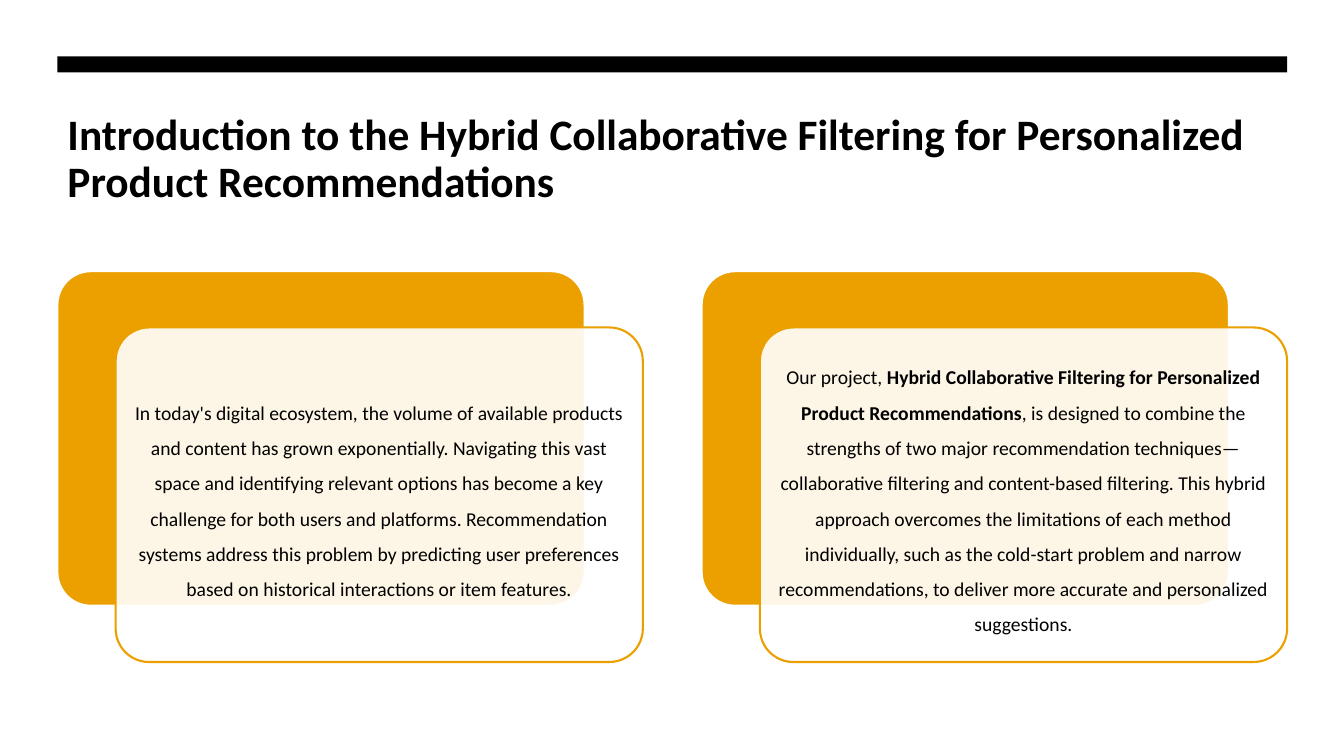
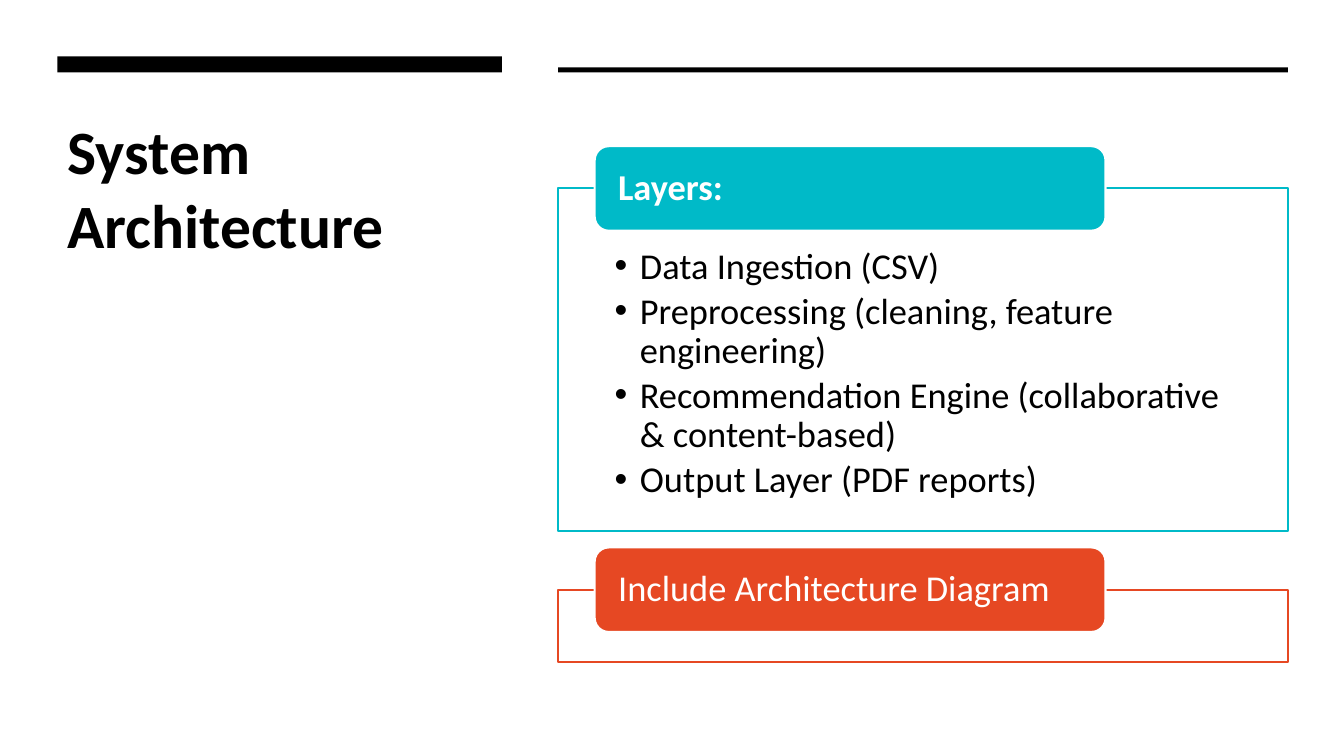
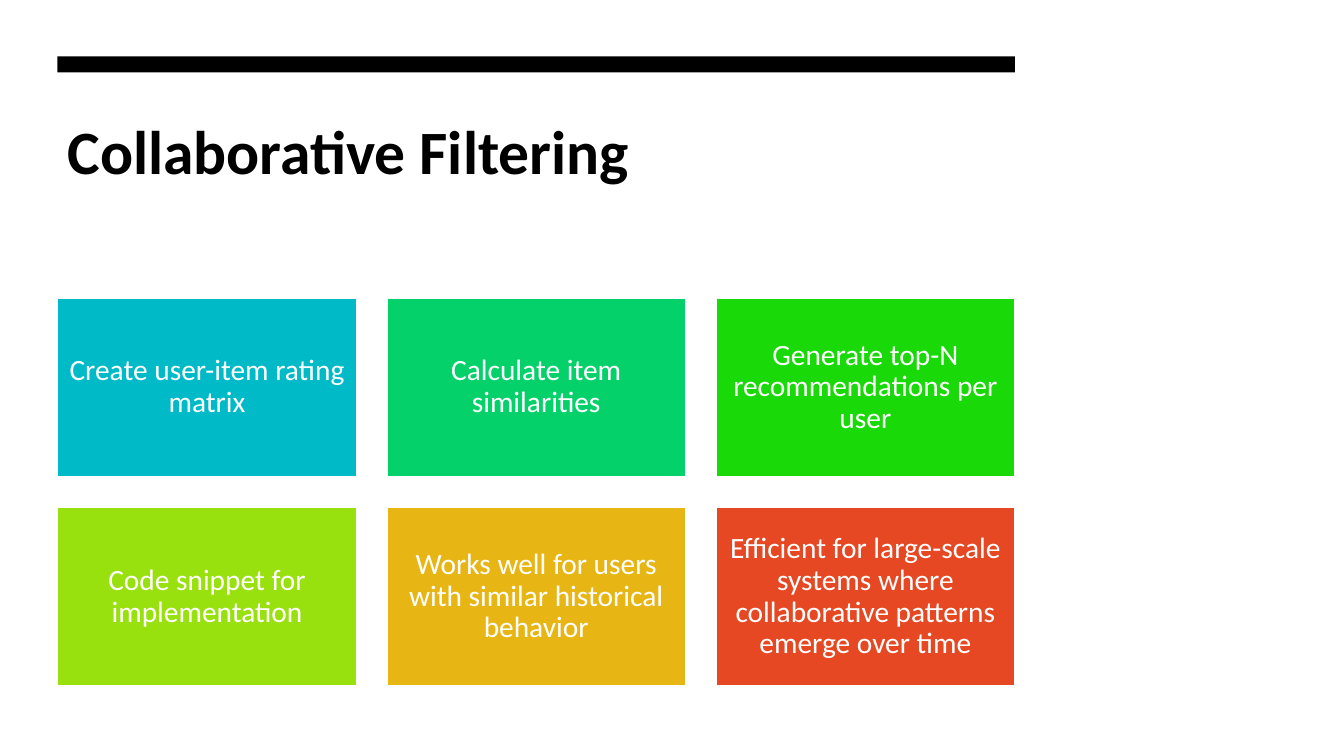
from lxml import etree
from pptx import Presentation
from pptx.dml.color import RGBColor
from pptx.enum import shapes, text
from pptx.oxml.ns import qn
from pptx.util import Pt

COLORS = {
    "black": "000000", "white": "FFFFFF", "amber": "EBA000",
    "teal": "00BAC8", "green": "04D169", "lime": "1AD909",
    "yellowgreen": "99E00F", "gold": "E7B615", "red": "E64823",
}
FONT = "Calibri"
LEFT, BAND_TOP, TITLE_TOP = 41, 40.3, 77
FULL_W, SIDE_W, TILES_W = 878.4, 317.5, 684

INTRO_TITLE = ("Introduction to the Hybrid Collaborative Filtering for "
               "Personalized Product Recommendations")
INTRO_CARDS = [
    [("In today's digital ecosystem, the volume of available products and "
      "content has grown exponentially. Navigating this vast space and "
      "identifying relevant options has become a key challenge for both users "
      "and platforms. Recommendation systems address this problem by "
      "predicting user preferences based on historical interactions or item "
      "features.", False)],
    [("Our project, ", False),
     ("Hybrid Collaborative Filtering for Personalized Product "
      "Recommendations", True),
     (", is designed to combine the strengths of two major recommendation "
      "techniques—collaborative filtering and content-based filtering. This "
      "hybrid approach overcomes the limitations of each method individually, "
      "such as the cold-start problem and narrow recommendations, to deliver "
      "more accurate and personalized suggestions.", False)],
]

ARCHITECTURE_TITLE = "System Architecture"
PANELS = [
    {"head": "Layers:", "bold": True, "color": "teal", "top": 134.6,
     "height": 244.8, "items": [
         "Data Ingestion (CSV)",
         "Preprocessing (cleaning, feature engineering)",
         "Recommendation Engine (collaborative & content-based)",
         "Output Layer (PDF reports)"]},
    {"head": "Include Architecture Diagram", "bold": False, "color": "red",
     "top": 421.2, "height": 51.8, "items": []},
]

FILTERING_TITLE = "Collaborative Filtering"
TILES = [
    ("Create user-item rating matrix", "teal"),
    ("Calculate item similarities", "green"),
    ("Generate top-N recommendations per user", "lime"),
    ("Code snippet for implementation", "yellowgreen"),
    ("Works well for users with similar historical behavior", "gold"),
    ("Efficient for large-scale systems where collaborative patterns emerge "
     "over time", "red"),
]

RECT = shapes.MSO_SHAPE.RECTANGLE
ROUND = shapes.MSO_SHAPE.ROUNDED_RECTANGLE
ALIGN, ANCHOR = text.PP_ALIGN, text.MSO_ANCHOR


def rgb(name):
    return RGBColor.from_string(COLORS[name])


def add_text(sp, paragraphs, size, color="black", bold=False,
             align=ALIGN.LEFT, anchor=ANCHOR.MIDDLE, spacing=0.9, after=0,
             insets=(7.2, 3.6, 7.2, 3.6), bullet=False):
    tf = sp.text_frame
    tf.word_wrap = True
    tf.auto_size = text.MSO_AUTO_SIZE.NONE
    tf.vertical_anchor = anchor
    tf.margin_left, tf.margin_top, tf.margin_right, tf.margin_bottom = map(Pt, insets)
    for i, content in enumerate(paragraphs):
        p = tf.add_paragraph() if i else tf.paragraphs[0]
        if bullet:
            pPr = p._p.get_or_add_pPr()
            pPr.set("marL", str(Pt(18)))
            pPr.set("indent", str(-Pt(18)))
            etree.SubElement(pPr, qn("a:buFont")).set("typeface", "Arial")
            etree.SubElement(pPr, qn("a:buChar")).set("char", "•")
        p.alignment = align
        p.line_spacing = spacing
        p.space_before, p.space_after = Pt(0), Pt(after)
        runs = [(content, bold)] if isinstance(content, str) else content
        for words, strong in runs:
            r = p.add_run()
            r.text = words
            r.font.name, r.font.size, r.font.bold = FONT, Pt(size), strong
            r.font.color.rgb = rgb(color)


def add_box(s, kind, x, y, w, h, fill, line=None, alpha=None, radius=None):
    sp = s.shapes.add_shape(kind, Pt(x), Pt(y), Pt(w), Pt(h))
    sp.shadow.inherit = False
    sp.fill.solid()
    sp.fill.fore_color.rgb = rgb(fill)
    if alpha:
        clr = sp._element.spPr.find(qn("a:solidFill"))[0]
        etree.SubElement(clr, qn("a:alpha")).set("val", str(alpha * 1000))
    if line:
        sp.line.color.rgb = rgb(line)
        sp.line.width = Pt(1.5)
    else:
        sp.line.fill.background()
    if radius:
        sp.adjustments[0] = radius
    return sp


def add_slide(prs, title, width, height=115.2, size=44, spacing=1.0):
    s = prs.slides.add_slide(prs.slide_layouts[5])
    sp = s.shapes.title
    sp.left, sp.top, sp.width, sp.height = map(Pt, (LEFT, TITLE_TOP, width, height))
    add_text(sp, [title], size, bold=True, anchor=ANCHOR.TOP, spacing=spacing)
    add_box(s, RECT, LEFT, BAND_TOP, width, 11.5, "black")
    return s


def build_intro(prs):
    s = add_slide(prs, INTRO_TITLE, FULL_W, size=31, spacing=0.9)
    top, w, h, shift_x, shift_y = 193.7, 376.6, 239, 41.6, 40.2
    step = FULL_W - w - shift_x
    for i, runs in enumerate(INTRO_CARDS):
        x = LEFT + i * step
        add_box(s, ROUND, x, top, w, h, "amber", "white", radius=0.1)
        card = add_box(s, ROUND, x + shift_x, top + shift_y, w, h, "white",
                       "amber", alpha=90, radius=0.1)
        add_text(card, [runs], 14, align=ALIGN.CENTER, spacing=1.5,
                 insets=(4.4,) * 4)


def build_architecture(prs):
    s = add_slide(prs, ARCHITECTURE_TITLE, SIDE_W, height=265)
    x, w, tab_h = 398.7, 521.3, 60.4
    add_box(s, RECT, x, 48.2, w, 3.6, "black")
    for panel in PANELS:
        top, color = panel["top"], panel["color"]
        body = add_box(s, RECT, x, top, w, panel["height"], "white", color, alpha=90)
        if panel["items"]:
            add_text(body, panel["items"], 26, anchor=ANCHOR.TOP, after=4,
                     insets=(40.4, 42.5, 40.4, 14.4), bullet=True)
        tab = add_box(s, ROUND, x + w * 0.05, top - tab_h / 2, w * 0.7, tab_h,
                      color, "white")
        add_text(tab, [panel["head"]], 26, "white", bold=panel["bold"],
                 insets=(13.8, 0, 13.8, 0))


def build_filtering(prs):
    s = add_slide(prs, FILTERING_TITLE, TILES_W)
    columns, top = 3, 212.5
    w = TILES_W / 3.2
    h, gap = w * 0.6, w * 0.1
    for i, (words, color) in enumerate(TILES):
        row, col = divmod(i, columns)
        tile = add_box(s, RECT, LEFT + col * (w + gap), top + row * (h + gap),
                       w, h, color, "white")
        add_text(tile, [words], 21, "white", align=ALIGN.CENTER,
                 insets=(6.3,) * 4)


def main():
    prs = Presentation()
    prs.slide_width, prs.slide_height = Pt(960), Pt(540)
    build_intro(prs)
    build_architecture(prs)
    build_filtering(prs)
    prs.save("out.pptx")


if __name__ == "__main__":
    main()
